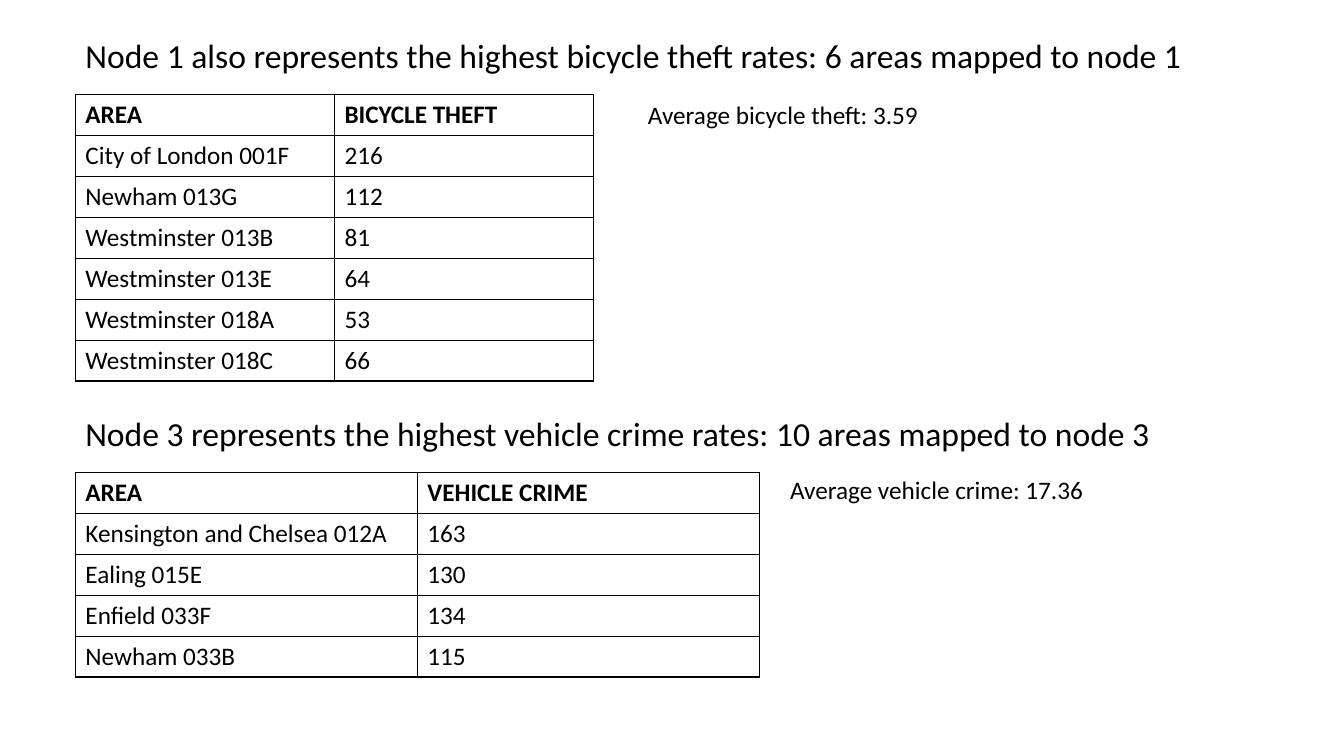
from lxml.etree import SubElement
from pptx import Presentation
from pptx.dml.color import RGBColor
from pptx.enum.text import MSO_ANCHOR, MSO_AUTO_SIZE, PP_ALIGN
from pptx.oxml.ns import qn
from pptx.util import Cm, Pt

COLORS = {"text": "000000", "border": "000000"}
LEFT = 1.9
ROW_HEIGHT = 1.03

BICYCLE_ROWS = [
    ("AREA", "BICYCLE THEFT"),
    ("City of London 001F", "216"),
    ("Newham 013G", "112"),
    ("Westminster 013B", "81"),
    ("Westminster 013E", "64"),
    ("Westminster 018A", "53"),
    ("Westminster 018C", "66"),
]
VEHICLE_ROWS = [
    ("AREA", "VEHICLE CRIME"),
    ("Kensington and Chelsea 012A", "163"),
    ("Ealing 015E", "130"),
    ("Enfield 033F", "134"),
    ("Newham 033B", "115"),
]


class SlideBuilder:
    font = "Calibri"
    heading_size = 24
    body_size = 18

    def __init__(self, prs):
        self.s = prs.slides.add_slide(prs.slide_layouts[5])

    def style_text(self, tf, text, size, bold=False):
        tf.text = text
        p = tf.paragraphs[0]
        p.alignment = PP_ALIGN.LEFT
        for r in p.runs:
            r.font.name = self.font
            r.font.size = Pt(size)
            r.font.bold = bold
            r.font.color.rgb = RGBColor.from_string(COLORS["text"])

    def fill_box(self, sp, text, size):
        tf = sp.text_frame
        tf.word_wrap = True
        tf.auto_size = MSO_AUTO_SIZE.SHAPE_TO_FIT_TEXT
        tf.vertical_anchor = MSO_ANCHOR.TOP
        self.style_text(tf, text, size)

    def title(self, text, left, top, width, height):
        sp = self.s.shapes.title
        sp.left, sp.top = Cm(left), Cm(top)
        sp.width, sp.height = Cm(width), Cm(height)
        self.fill_box(sp, text, self.heading_size)

    def text(self, text, left, top, width, height, size):
        sp = self.s.shapes.add_textbox(Cm(left), Cm(top), Cm(width), Cm(height))
        self.fill_box(sp, text, size)

    def border(self, cell):
        tc_pr = cell._tc.get_or_add_tcPr()
        for side in ("lnL", "lnR", "lnT", "lnB"):
            ln = SubElement(tc_pr, qn(f"a:{side}"), w=str(Pt(1)))
            fill = SubElement(ln, qn("a:solidFill"))
            SubElement(fill, qn("a:srgbClr"), val=COLORS["border"])

    def table(self, rows, left, top, col_width):
        cols = len(rows[0])
        table = self.s.shapes.add_table(
            len(rows), cols, Cm(left), Cm(top),
            Cm(col_width * cols), Cm(ROW_HEIGHT * len(rows))
        ).table
        table.first_row = True
        table.horz_banding = False
        for col in table.columns:
            col.width = Cm(col_width)
        for i, values in enumerate(rows):
            table.rows[i].height = Cm(ROW_HEIGHT)
            for j, value in enumerate(values):
                cell = table.cell(i, j)
                self.style_text(cell.text_frame, value, self.body_size, bold=i == 0)
                self.border(cell)
                cell.fill.background()


def main():
    prs = Presentation()
    prs.slide_width, prs.slide_height = Cm(33.87), Cm(19.05)
    b = SlideBuilder(prs)

    b.title("Node 1 also represents the highest bicycle theft rates: 6 areas mapped to node 1",
            LEFT, 0.76, 29.87, 1.28)
    b.table(BICYCLE_ROWS, LEFT, 2.39, 6.53)
    b.text("Average bicycle theft: 3.59", 16.08, 2.39, 7.54, 1.03, b.body_size)

    b.text("Node 3 represents the highest vehicle crime rates: 10 areas mapped to node 3",
           LEFT, 10.29, 30.33, 1.28, b.heading_size)
    b.table(VEHICLE_ROWS, LEFT, 11.91, 8.62)
    b.text("Average vehicle crime: 17.36", 19.66, 11.84, 8.69, 1.03, b.body_size)

    prs.save("out.pptx")


if __name__ == "__main__":
    main()
